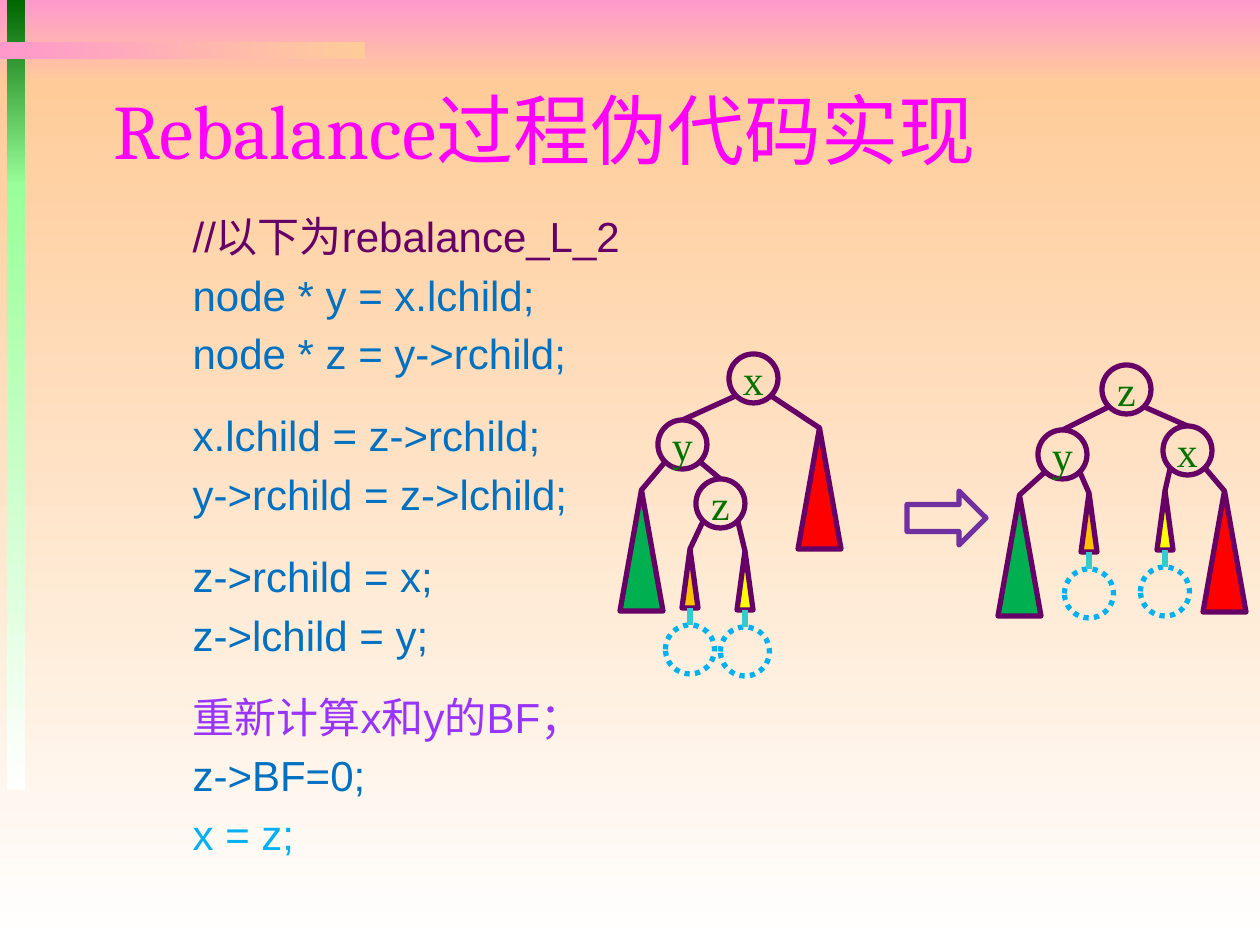
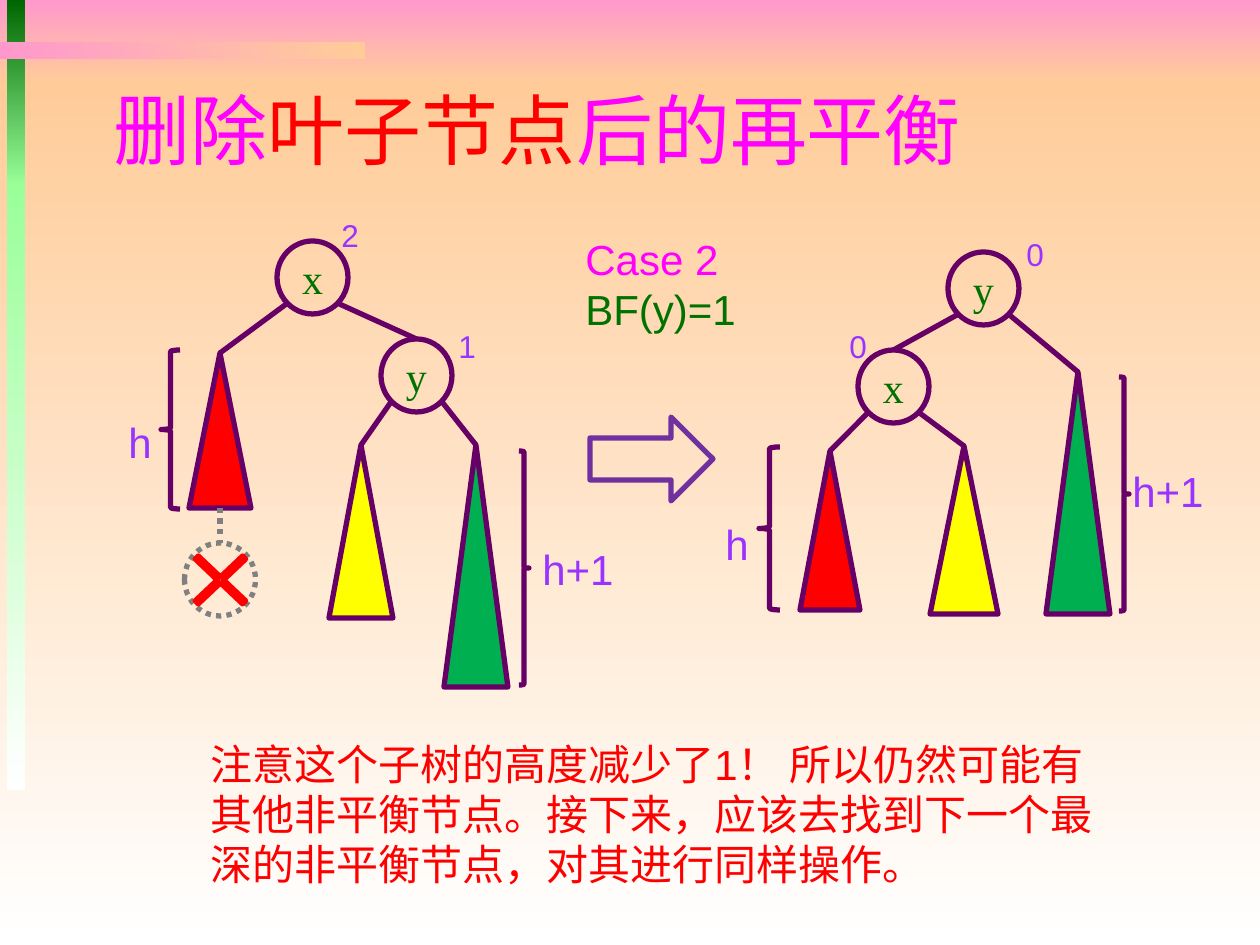
from lxml import etree
from pptx import Presentation
from pptx.dml.color import RGBColor
from pptx.enum.dml import MSO_LINE
from pptx.enum.shapes import MSO_CONNECTOR, MSO_SHAPE
from pptx.enum.text import MSO_ANCHOR, MSO_AUTO_SIZE, PP_ALIGN
from pptx.oxml.ns import qn
from pptx.util import Emu, Pt

SCALE = 914400 / 126
LINE_WIDTH = Pt(3)

PINK = RGBColor(0xFF, 0x99, 0xCC)
PEACH = RGBColor(0xFF, 0xCC, 0x99)
WHITE = RGBColor(0xFF, 0xFF, 0xFF)
DARK_GREEN = RGBColor(0x00, 0x66, 0x00)
PALE_GREEN = RGBColor(0x99, 0xFF, 0x99)
NODE_GREEN = RGBColor(0x00, 0x72, 0x00)
MAGENTA = RGBColor(0xFF, 0x00, 0xFF)
PLUM = RGBColor(0x66, 0x00, 0x66)
PURPLE = RGBColor(0x70, 0x30, 0xA0)
VIOLET = RGBColor(0x99, 0x33, 0xFF)
BLUE = RGBColor(0x00, 0x70, 0xC0)
SKY = RGBColor(0x00, 0xB0, 0xF0)
TEAL = RGBColor(0x33, 0xCC, 0xCC)
GRAY = RGBColor(0x80, 0x80, 0x80)
RED = RGBColor(0xFF, 0x00, 0x00)
YELLOW = RGBColor(0xFF, 0xFF, 0x00)
ORANGE = RGBColor(0xFF, 0xC0, 0x00)
GREEN = RGBColor(0x00, 0xB0, 0x50)

# left, top, width, height, first colour, last colour, angle
BANDS = [
    (0, 0, 1260, 84, PINK, PEACH, 270),
    (0, 84, 1260, 861, PEACH, WHITE, 270),
    (7, 0, 18, 186, DARK_GREEN, PALE_GREEN, 270),
    (7, 184, 18, 606, PALE_GREEN, WHITE, 270),
    (0, 42, 365, 17, PINK, PEACH, 0),
]
TITLE_BOX = (101, 72, 1071, 113)

CODE_TITLE = [("Rebalance过程伪代码实现", MAGENTA)]
CODE_BOX = (180, 204, 571, 680)
CODE_GROUPS = [
    [("//以下为rebalance_L_2", PLUM), ("node * y = x.lchild;", BLUE), ("node * z = y->rchild;", BLUE)],
    [("x.lchild = z->rchild;", BLUE), ("y->rchild = z->lchild;", BLUE)],
    [("z->rchild = x;", BLUE), ("z->lchild = y;", BLUE)],
    [("重新计算x和y的BF；", VIOLET), ("z->BF=0;", BLUE), ("x = z;", SKY)],
]
CODE_NODE = (49, 49)
CODE_TALL = (43, 121)
CODE_SHORT = (16, 59)
CODE_LEAVES = {"under": [ORANGE, YELLOW], "gap": 17, "ring": SKY, "stem": TEAL, "stem_dash": None}

# part, parent, left, top, size
CODE_TREES = [
    [
        ("x", None, 729, 354, CODE_NODE),
        ("y", "x", 658, 420, CODE_NODE),
        (RED, "x", 798, 428, CODE_TALL),
        (GREEN, "y", 620, 490, CODE_TALL),
        ("z", "y", 696, 479, CODE_NODE),
        (ORANGE, "z", 682, 549, CODE_SHORT),
        (YELLOW, "z", 737, 551, CODE_SHORT),
    ],
    [
        ("z", None, 1102, 365, CODE_NODE),
        ("y", "z", 1038, 430, CODE_NODE),
        ("x", "z", 1163, 426, CODE_NODE),
        (GREEN, "y", 998, 495, CODE_TALL),
        (ORANGE, "y", 1081, 493, CODE_SHORT),
        (YELLOW, "x", 1157, 491, CODE_SHORT),
        (RED, "x", 1203, 491, CODE_TALL),
    ],
]
CODE_ARROW = (907, 491, 79, 54)

DELETE_TITLE = [("删除", MAGENTA), ("叶子节点", RED), ("后的再平衡", MAGENTA)]
DELETE_NODE = (71, 73)
BEFORE_DELETE = [
    ("x", None, 277, 241, DELETE_NODE),
    (RED, "x", 189, 353, (62, 155)),
    ("y", "x", 381, 339, DELETE_NODE),
    (YELLOW, "y", 329, 445, (64, 173)),
    (GREEN, "y", 444, 445, (64, 242)),
]
AFTER_DELETE = [
    ("y", None, 948, 252, DELETE_NODE),
    ("x", "y", 858, 350, DELETE_NODE),
    (GREEN, "y", 1046, 372, (64, 242)),
    (RED, "x", 800, 451, (60, 159)),
    (YELLOW, "x", 930, 446, (68, 168)),
]
DELETED_LEAF = {"under": [RED], "gap": 35, "ring": GRAY, "stem": GRAY, "stem_dash": MSO_LINE.ROUND_DOT}
DELETE_ARROW = (590, 417, 123, 84)
DELETE_CROSS = (175, 537, 91, 86)
BRACES = [
    (MSO_SHAPE.LEFT_BRACE, (161, 350, 19, 159)),
    (MSO_SHAPE.RIGHT_BRACE, (519, 451, 10, 234)),
    (MSO_SHAPE.LEFT_BRACE, (759, 447, 21, 163)),
    (MSO_SHAPE.RIGHT_BRACE, (1119, 377, 10, 234)),
]
BALANCE_FACTORS = [("2", 329, 210), ("1", 446, 321), ("0", 837, 321), ("0", 1014, 229)]
HEIGHTS = [("h", 116, 410), ("h+1", 530, 537), ("h", 713, 512), ("h+1", 1120, 459)]
CASE_BOX = (573, 227, 199, 115)
CASE_LINES = [("Case 2", MAGENTA), ("BF(y)=1", NODE_GREEN)]
NOTE_BOX = (198, 732, 908, 165)
NOTE = "注意这个子树的高度减少了1！ 所以仍然可能有其他非平衡节点。接下来，应该去找到下一个最深的非平衡节点，对其进行同样操作。"


def px(*lengths):
    return [Emu(round(length * SCALE)) for length in lengths]


def style(run, size, font, color):
    run.font.size = Pt(size)
    run.font.name = font
    run.font.color.rgb = color


def add_outline(slide, kind, box, color=PLUM, fill=None, dash=None):
    outline = slide.shapes.add_shape(kind, *px(*box))
    outline.shadow.inherit = False
    if fill is None:
        outline.fill.background()
    else:
        outline.fill.solid()
        outline.fill.fore_color.rgb = fill
    outline.line.color.rgb = color
    outline.line.width = LINE_WIDTH
    if dash:
        outline.line.dash_style = dash
    return outline


def add_edge(slide, start, child, color=PLUM, dash=None):
    edge = slide.shapes.add_connector(MSO_CONNECTOR.STRAIGHT, *px(*start, *start))
    edge.end_connect(child, 0)
    edge.line.color.rgb = color
    edge.line.width = LINE_WIDTH
    if dash:
        edge.line.dash_style = dash
    etree.SubElement(edge.element.spPr, qn("a:effectLst"))


def add_node(slide, label, box):
    node = add_outline(slide, MSO_SHAPE.OVAL, box)
    frame = node.text_frame
    frame.margin_left = frame.margin_right = frame.margin_top = frame.margin_bottom = 0
    frame.vertical_anchor = MSO_ANCHOR.MIDDLE
    frame.text = label
    frame.paragraphs[0].alignment = PP_ALIGN.CENTER
    style(frame.paragraphs[0].runs[0], 24, "Times New Roman", NODE_GREEN)
    return node


def add_tree(slide, tree, leaves=None):
    boxes = {}
    for part, parent, left, top, (width, height) in tree:
        boxes[part] = box = (left, top, width, height)
        if isinstance(part, str):
            child = add_node(slide, part, box)
        else:
            child = add_outline(slide, MSO_SHAPE.ISOSCELES_TRIANGLE, box, fill=part)
        if parent:
            x, y, node_width, node_height = boxes[parent]
            to_left = left + width / 2 < x + node_width / 2
            start = (x + node_width * (0.15 if to_left else 0.85), y + node_height * 0.85)
            add_edge(slide, start, child)
    if leaves:
        node_width, node_height = tree[0][4]
        for subtree in leaves["under"]:
            left, top, width, height = boxes[subtree]
            center, bottom = left + width / 2, top + height
            leaf_box = (center - node_width / 2, bottom + leaves["gap"], node_width, node_height)
            leaf = add_outline(slide, MSO_SHAPE.OVAL, leaf_box, leaves["ring"], dash=MSO_LINE.ROUND_DOT)
            add_edge(slide, (center, bottom), leaf, leaves["stem"], leaves["stem_dash"])


def add_text(slide, box, lines, size=24):
    frame = slide.shapes.add_textbox(*px(*box)).text_frame
    frame.word_wrap = True
    frame.text = "\n".join(text for text, _ in lines)
    for paragraph, (_, color) in zip(frame.paragraphs, lines):
        style(paragraph.runs[0], size, "Arial", color)


def place(placeholder, box):
    placeholder.left, placeholder.top, placeholder.width, placeholder.height = px(*box)
    frame = placeholder.text_frame
    frame.auto_size = MSO_AUTO_SIZE.NONE
    frame.word_wrap = True
    return frame


def set_title(slide, parts, font):
    frame = place(slide.shapes.title, TITLE_BOX)
    frame.vertical_anchor = MSO_ANCHOR.MIDDLE
    paragraph = frame.paragraphs[0]
    paragraph.alignment = PP_ALIGN.LEFT
    for text, color in parts:
        run = paragraph.add_run()
        run.text = text
        style(run, 44, font, color)


def move_bands_to_master(slide, master):
    for index, (left, top, width, height, first, last, angle) in enumerate(BANDS):
        band = slide.shapes.add_shape(MSO_SHAPE.RECTANGLE, *px(left, top, width, height))
        band.shadow.inherit = False
        band.line.fill.background()
        band.fill.gradient()
        band.fill.gradient_angle = angle
        for stop, color in zip(band.fill.gradient_stops, (first, last)):
            stop.color.rgb = color
        band.element.xpath("./p:nvSpPr/p:cNvPr")[0].set("id", str(20 + index))
        master.shapes.element.insert(2 + index, band.element)


def fill_code_slide(slide):
    set_title(slide, CODE_TITLE, "Cambria")
    frame = place(slide.placeholders[1], CODE_BOX)
    lines = [(*line, group > 0 and row == 0)
             for group, rows in enumerate(CODE_GROUPS) for row, line in enumerate(rows)]
    frame.text = "\n".join(text for text, _, _ in lines)
    for paragraph, (_, color, opens_group) in zip(frame.paragraphs, lines):
        properties = paragraph._p.get_or_add_pPr()
        properties.set("marL", "0")
        properties.set("indent", "0")
        if opens_group:
            paragraph.space_before = Pt(18)
        etree.SubElement(properties, qn("a:buNone"))
        style(paragraph.runs[0], 24, "Arial", color)
    for tree in CODE_TREES:
        add_tree(slide, tree, CODE_LEAVES)
    add_outline(slide, MSO_SHAPE.RIGHT_ARROW, CODE_ARROW, PURPLE)


def fill_delete_slide(slide):
    set_title(slide, DELETE_TITLE, "Roboto Condensed")
    add_tree(slide, BEFORE_DELETE, DELETED_LEAF)
    add_tree(slide, AFTER_DELETE)
    for kind, box in BRACES:
        add_outline(slide, kind, box)
    for factor, left, top in BALANCE_FACTORS:
        add_text(slide, (left, top, 55, 50), [(factor, VIOLET)], 18)
    for height, left, top in HEIGHTS:
        add_text(slide, (left, top, 55 if height == "h" else 103, 63), [(height, VIOLET)])
    add_text(slide, CASE_BOX, CASE_LINES)
    add_outline(slide, MSO_SHAPE.RIGHT_ARROW, DELETE_ARROW, PURPLE)
    add_text(slide, NOTE_BOX, [(NOTE, RED)])
    cross = add_outline(slide, MSO_SHAPE.MATH_MULTIPLY, DELETE_CROSS, RED, WHITE)
    cross.adjustments[0] = 0.05


def main():
    deck = Presentation()
    deck.slide_width, deck.slide_height = px(1260, 945)
    code_slide = deck.slides.add_slide(deck.slide_layouts[1])
    move_bands_to_master(code_slide, deck.slide_master)
    fill_code_slide(code_slide)
    fill_delete_slide(deck.slides.add_slide(deck.slide_layouts[5]))
    deck.save("out.pptx")


if __name__ == "__main__":
    main()
